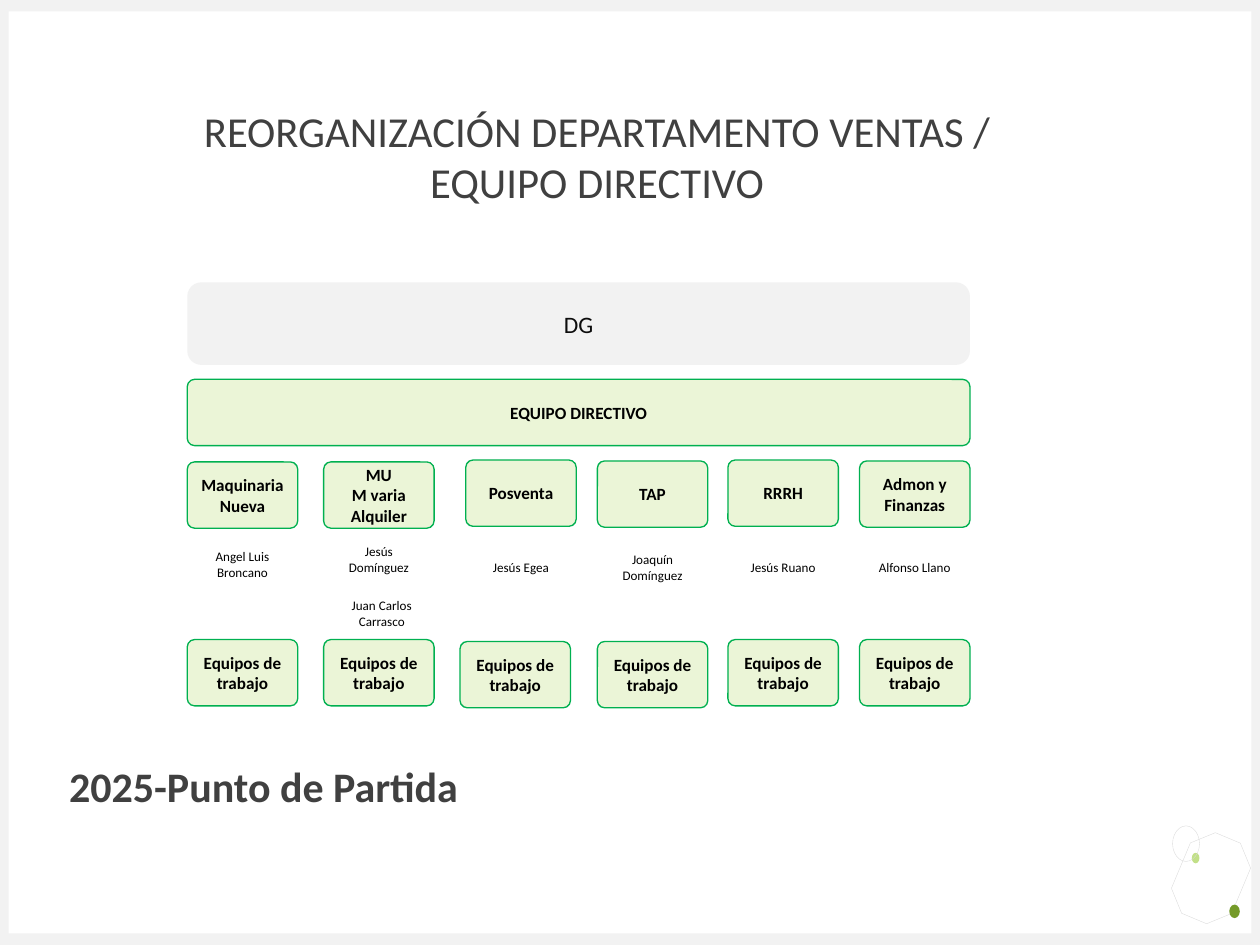
import collections

import pptx
import pptx.dml.color
import pptx.enum.shapes
import pptx.enum.text
import pptx.util

GRID = pptx.util.Inches(0.1)
COLUMNS, ROWS = 131.2, 98.4
FONT = "Calibri"
COLORS = {
    "background": "FFFFFF",
    "frame": "F2F2F2",
    "outline": "D9D9D9",
    "light_dot": "C2E088",
    "dark_dot": "749A29",
    "heading": "404040",
    "direction": "0D0D0D",
    "label": "000000",
    "box_fill": "EBF5D7",
    "box_line": "00B050",
}
SHAPES = pptx.enum.shapes.MSO_SHAPE
ANCHORS = pptx.enum.text.MSO_ANCHOR
ALIGNMENTS = pptx.enum.text.PP_ALIGN

Box = collections.namedtuple("Box", "left top width height")
Department = collections.namedtuple(
    "Department", "left top names people team_left team_top"
)
DEPARTMENTS = [
    Department(0, 18.7, ["Maquinaria Nueva"],
               [(0, 26.6, "Angel Luis Broncano")], 0, 37.2),
    Department(14.2, 18.7, ["MU", "M varia", "Alquiler"],
               [(0, 26.1, "Jesús Domínguez"), (0.3, 31.7, "Juan Carlos Carrasco")],
               14.2, 37.2),
    Department(29, 18.5, ["Posventa"], [(0, 26.9, "Jesús Egea")], 28.4, 37.4),
    Department(42.7, 18.6, ["TAP"], [(0, 26.9, "Joaquín Domínguez")], 42.7, 37.4),
    Department(56.3, 18.5, ["RRRH"], [(0, 26.9, "Jesús Ruano")], 56.3, 37.2),
    Department(70, 18.6, ["Admon y Finanzas"],
               [(0, 26.9, "Alfonso Llano")], 70, 37.2),
]


def color(name):
    return pptx.dml.color.RGBColor.from_string(COLORS[name])


def lengths(box):
    return [round(value * GRID) for value in box]


def inside(box, left, top, width, height):
    return Box(box.left + left, box.top + top, width, height)


def format_text(text_frame, size, color_name, bold=False, alignment=ALIGNMENTS.CENTER):
    for paragraph in text_frame.paragraphs:
        paragraph.alignment = alignment
        for run in paragraph.runs:
            run.font.name = FONT
            run.font.size = pptx.util.Pt(size)
            run.font.bold = bold
            run.font.color.rgb = color(color_name)


def clear_margins(text_frame):
    text_frame.margin_left = text_frame.margin_right = 0
    text_frame.margin_top = text_frame.margin_bottom = 0
    text_frame.vertical_anchor = ANCHORS.TOP
    text_frame.auto_size = pptx.enum.text.MSO_AUTO_SIZE.NONE
    text_frame.word_wrap = True


def add_figure(slide, kind, box, fill=None, line=None, line_width=0.25):
    shape = slide.shapes.add_shape(kind, *lengths(box))
    shape.shadow.inherit = False
    if fill:
        shape.fill.solid()
        shape.fill.fore_color.rgb = color(fill)
    else:
        shape.fill.background()
    if line:
        shape.line.color.rgb = color(line)
        shape.line.width = pptx.util.Pt(line_width)
    else:
        shape.line.fill.background()
    return shape


def add_label(slide, box, lines, size, color_name="label", bold=False,
              fill=None, line=None, corner=0.11):
    shape = add_figure(slide, SHAPES.ROUNDED_RECTANGLE, box, fill, line, 1)
    shape.adjustments[0] = corner
    text_frame = shape.text_frame
    text_frame.word_wrap = True
    text_frame.vertical_anchor = ANCHORS.MIDDLE
    text_frame.text = "\n".join(lines)
    format_text(text_frame, size, color_name, bold)


def add_green_label(slide, box, lines):
    add_label(slide, box, lines, 12.8, bold=True, fill="box_fill", line="box_line")


def add_frame(slide, box):
    side, band = 0.9, 1.2
    for edge in (
        inside(box, 0, box.height - band, box.width, band),
        inside(box, 0, 0, box.width, band),
        inside(box, 0, 0, side, box.height),
        inside(box, box.width - side, 0, side, box.height),
    ):
        add_figure(slide, SHAPES.RECTANGLE, edge, "frame")


def add_ornament(slide, box):
    octagon = add_figure(slide, SHAPES.OCTAGON, inside(box, 0.6, 0.9, 6.8, 9.1),
                         line="outline")
    octagon.rotation = 22.7
    add_figure(slide, SHAPES.OVAL, inside(box, 2, 2.8, 0.8, 1.1), "light_dot")
    add_figure(slide, SHAPES.OVAL, inside(box, 5.9, 8.2, 1.1, 1.4), "dark_dot")
    add_figure(slide, SHAPES.OVAL, inside(box, 0, 0, 2.8, 3.7), line="outline")


def add_title(slide, box):
    title = slide.shapes.title
    title.left, title.top, title.width, title.height = lengths(box)
    clear_margins(title.text_frame)
    title.text_frame.text = "REORGANIZACIÓN DEPARTAMENTO VENTAS / EQUIPO DIRECTIVO"
    format_text(title.text_frame, 32, "heading")


def add_starting_point(slide, box):
    text_frame = slide.shapes.add_textbox(*lengths(box)).text_frame
    clear_margins(text_frame)
    text_frame.text = "2025-Punto de Partida"
    format_text(text_frame, 31.5, "heading", True, ALIGNMENTS.LEFT)


def add_organization(slide, box):
    width, height, person_height = 11.5, 6.9, 5.5
    add_label(slide, inside(box, 0, 0, box.width, 8.6), ["DG"], 17.7,
              "direction", fill="frame", corner=0.17)
    add_green_label(slide, inside(box, 0, 10.1, box.width, height),
                    ["EQUIPO DIRECTIVO"])
    for department in DEPARTMENTS:
        add_green_label(
            slide, inside(box, department.left, department.top, width, height),
            department.names)
        add_green_label(
            slide, inside(box, department.team_left, department.team_top, width, height),
            ["Equipos de trabajo"])
        for shift, top, name in department.people:
            add_label(
                slide, inside(box, department.left + shift, top, width, person_height),
                [name], 9.8)


def main():
    presentation = pptx.Presentation()
    presentation.slide_width = round(COLUMNS * GRID)
    presentation.slide_height = round(ROWS * GRID)
    slide = presentation.slides.add_slide(presentation.slide_layouts[5])
    slide.background.fill.solid()
    slide.background.fill.fore_color.rgb = color("background")
    add_ornament(slide, Box(122.1, 86, 7.4, 10))
    add_frame(slide, Box(0, 0, COLUMNS, ROWS))
    add_title(slide, Box(14.1, 10.9, 96.2, 11.9))
    add_organization(slide, Box(19.5, 29.4, 81.5, 44.3))
    add_starting_point(slide, Box(7.2, 79.2, 50, 4.8))
    presentation.save("out.pptx")


if __name__ == "__main__":
    main()
